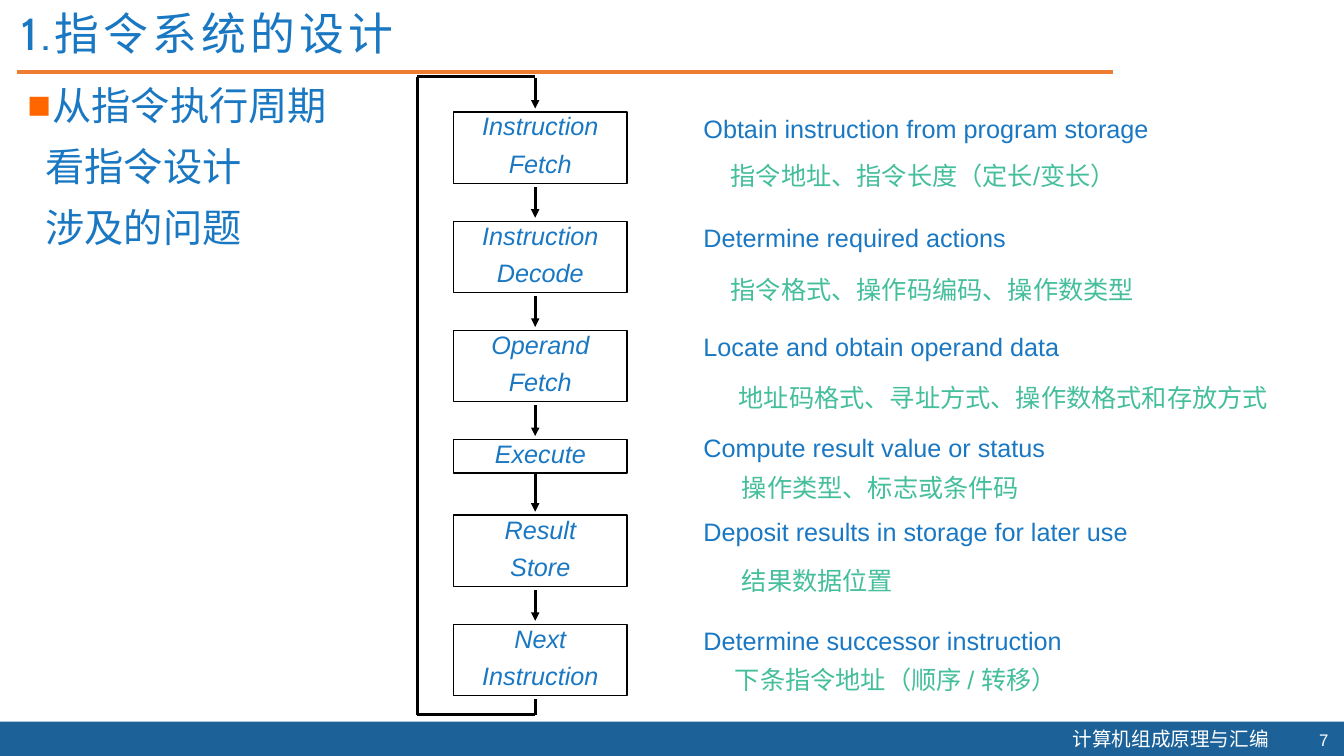
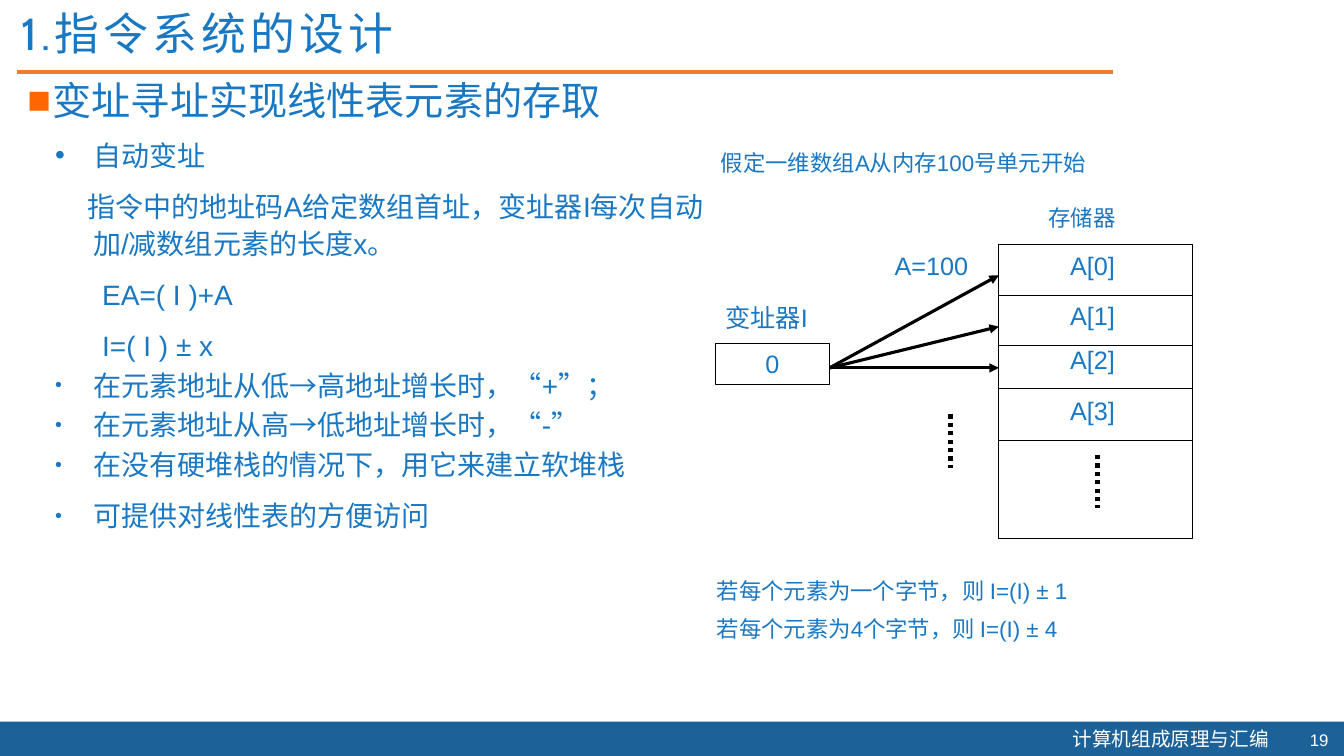
"""Build two lecture slides on instruction set design."""
from itertools import pairwise

from lxml import etree
from pptx import Presentation
from pptx.dml.color import RGBColor
from pptx.enum.dml import MSO_LINE
from pptx.enum.shapes import MSO_CONNECTOR, MSO_SHAPE
from pptx.enum.text import MSO_ANCHOR, PP_ALIGN
from pptx.oxml.ns import qn
from pptx.util import Pt

STRAIGHT = MSO_CONNECTOR.STRAIGHT
RECTANGLE = MSO_SHAPE.RECTANGLE
DOTTED = MSO_LINE.ROUND_DOT
TOP, MIDDLE = MSO_ANCHOR.TOP, MSO_ANCHOR.MIDDLE
CENTER, RIGHT = PP_ALIGN.CENTER, PP_ALIGN.RIGHT

BLUE, GREEN, ORANGE = "1A78C3", "44BE9B", "ED7D31"
BULLET_ORANGE, FOOTER_BLUE = "FF6600", "1C6299"
BLACK, WHITE = "000000", "FFFFFF"
WIDE, TIGHT = (7.2, 3.6), (5, 2.2)
rgb = RGBColor.from_string


def write(slide, box, lines=(), size=18, color=BLUE, margins=WIDE, anchor=TOP,
          paragraph_format=None, font_format=None, tracking=0, fill=None, outline=0):
    """Add a text box, or a rectangle if filled or outlined, and fill in its lines."""
    place = [Pt(length) for length in box]
    if fill or outline:
        shape = slide.shapes.add_shape(RECTANGLE, *place)
        shape.shadow.inherit = False
        shape.fill.background()
        shape.line.fill.background()
        if fill:
            shape.fill.solid()
            shape.fill.fore_color.rgb = rgb(fill)
        if outline:
            shape.line.color.rgb = rgb(BLACK)
            shape.line.width = Pt(outline)
    else:
        shape = slide.shapes.add_textbox(*place)
    frame = shape.text_frame
    side, edge = Pt(margins[0]), Pt(margins[1])
    frame_format = {"word_wrap": True, "vertical_anchor": anchor, "margin_left": side,
                    "margin_right": side, "margin_top": edge, "margin_bottom": edge}
    for key, value in frame_format.items():
        setattr(frame, key, value)
    for number, line in enumerate(lines):
        text, own = (line, {}) if isinstance(line, str) else line
        paragraph = frame.add_paragraph() if number else frame.paragraphs[0]
        properties = paragraph._p.get_or_add_pPr()
        if "indent" in own:
            left, first = own["indent"]
            properties.set("marL", str(Pt(left)))
            properties.set("indent", str(Pt(first)))
        if "bullet" in own:
            mark, mark_color, percent = own["bullet"]
            tint = etree.SubElement(properties, qn("a:buClr"))
            etree.SubElement(tint, qn("a:srgbClr"), val=mark_color)
            etree.SubElement(properties, qn("a:buSzPct"), val=str(percent * 1000))
            etree.SubElement(properties, qn("a:buFont"), typeface="Arial")
            etree.SubElement(properties, qn("a:buChar"), char=mark)
        values = {"alignment": PP_ALIGN.LEFT, **(paragraph_format or {})}
        if "space_before" in own:
            values["space_before"] = Pt(own["space_before"])
        if number == 0:
            values["space_before"] = Pt(0)
        for key, value in values.items():
            setattr(paragraph, key, value)
        run = paragraph.add_run()
        run.text = text
        for key, value in {"name": "Arial", "size": Pt(size), **(font_format or {})}.items():
            setattr(run.font, key, value)
        run.font.color.rgb = rgb(color)
        if tracking:
            run._r.get_or_add_rPr().set("spc", str(tracking * 100))


def connect(slide, start, end, width, color=BLACK, arrow=False, dash=None):
    """Add a straight line, with an arrowhead at its end if wanted."""
    connector = slide.shapes.add_connector(
        STRAIGHT, *[Pt(length) for length in (*start, *end)])
    connector.line.color.rgb = rgb(color)
    connector.line.width = Pt(width)
    if dash:
        connector.line.dash_style = dash
    if arrow:
        etree.SubElement(connector.line._get_or_add_ln(), qn("a:tailEnd"), type="triangle")
    etree.SubElement(connector._element.spPr, qn("a:effectLst"))


deck = Presentation()
deck.slide_width, deck.slide_height = Pt(960), Pt(540)

square = {"indent": (18, -18), "bullet": ("■", BULLET_ORANGE, 100)}
continued = {"indent": (13, 0), "space_before": 10}
pages = [
    ("7", 130, 1, [("从指令执行周期", square), ("看指令设计", continued),
                   ("涉及的问题", continued)]),
    ("19", 41, 0.9, [("变址寻址实现线性表元素的存取", square)]),
]
slides = []
for page_number, heading_height, spacing, heading in pages:
    slide = deck.slides.add_slide(deck.slide_layouts[6])
    slides.append(slide)
    write(slide, (0, 515.5, 960, 24.5), fill=FOOTER_BLUE)
    write(slide, (759, 515.5, 157, 24.5), ["计算机组成原理与汇编"], 14, WHITE,
          font_format={"name": "Noto Sans CJK SC"})
    connect(slide, (12.5, 51.3), (795, 51.3), 3, ORANGE)
    write(slide, (920, 517.5, 36, 21.6), [page_number], 12, WHITE, anchor=MIDDLE,
          paragraph_format={"alignment": RIGHT})
    write(slide, (12.5, 54.7, 932, heading_height), heading, 28,
          paragraph_format={"line_spacing": spacing})
    write(slide, (8, 5, 767, 34.5), ["1.指令系统的设计"], 32, tracking=3,
          paragraph_format={"line_spacing": 0.9}, font_format={"name": "Cabin"})
cycle_slide, index_slide = slides

flow_x, arrow_gap = 382.3, 2.5
stages = [
    (80, 51, 22, ["Instruction", "Fetch"],
     80, "Obtain instruction from program storage",
     (517, 112.3), "指令地址、指令长度（定长/变长）"),
    (158, 51, 22, ["Instruction", "Decode"],
     158, "Determine required actions",
     (517, 193.7), "指令格式、操作码编码、操作数类型"),
    (236, 51, 22, ["Operand", "Fetch"],
     236, "Locate and obtain operand data",
     (522.7, 270.7), "地址码格式、寻址方式、操作数格式和存放方式"),
    (314, 24, 22, ["Execute"],
     307.5, "Compute result value or status",
     (525, 335.5), "操作类型、标志或条件码"),
    (368, 51, 27.5, ["Result", "Store"],
     368, "Deposit results in storage for later use",
     (525, 401.8), "结果数据位置"),
    (446, 51, 22, ["Next", "Instruction"],
     446, "Determine successor instruction",
     (520, 472.3), "下条指令地址（顺序 / 转移）"),
]
for top, height, arrow_length, names, action_top, action, issue_at, issue in stages:
    write(cycle_slide, (324, top, 124, height),
          [(name, {"space_before": 8}) for name in names], margins=TIGHT, outline=1,
          paragraph_format={"alignment": CENTER, "line_spacing": 0.86},
          font_format={"italic": True})
    arrow_end = top - arrow_gap
    connect(cycle_slide, (flow_x, arrow_end - arrow_length), (flow_x, arrow_end), 2, arrow=True)
    write(cycle_slide, (497.5, action_top, 437, 25), [action], margins=TIGHT,
          paragraph_format={"line_spacing": 0.97})
    write(cycle_slide, (*issue_at, 422, 26), [issue], color=GREEN, margins=TIGHT)

return_path = [(flow_x, 499.5), (flow_x, 510.5), (298, 510.5), (298, 54.7), (flow_x, 54.7)]
for start, end in pairwise(return_path):
    connect(cycle_slide, start, end, 2)

dot = {"indent": (27, -27), "bullet": ("•", BLUE, 100)}
small_dot = {"indent": (27, -27), "bullet": ("•", BLUE, 70)}
formula = {"indent": (33.5, 0), "space_before": 10}
write(index_slide, (32.4, 93, 477.4, 446), [
    ("自动变址", dot),
    ("指令中的地址码A给定数组首址，变址器I每次自动加/减数组元素的长度x。",
     {"indent": (27, -4), "space_before": 10}),
    ("EA=( I )+A", formula),
    ("I=( I ) ± x", formula),
    ("在元素地址从低→高地址增长时，“+”；", {**small_dot, "space_before": 2}),
    ("在元素地址从高→低地址增长时，“-”", {**small_dot, "space_before": 2}),
    ("在没有硬堆栈的情况下，用它来建立软堆栈", {**small_dot, "space_before": 2}),
    ("可提供对线性表的方便访问", {**small_dot, "space_before": 10}),
], 20, paragraph_format={"line_spacing": 1.1})

write(index_slide, (510, 104.4, 350, 24), ["假定一维数组A从内存100号单元开始"], 16, margins=TIGHT)
write(index_slide, (507, 409.7, 356, 52.5),
      ["若每个元素为一个字节，则 I=(I) ± 1",
       ("若每个元素为4个字节，则 I=(I) ± 4", {"space_before": 8})], 16, margins=TIGHT)
write(index_slide, (632, 175, 81.4, 29), ["A=100"])
write(index_slide, (511, 212.4, 96, 29), ["变址器I"])
write(index_slide, (744, 143.3, 109, 23), ["存储器"], 16, margins=TIGHT)

memory_left, memory_right, memory_top = 713.5, 851.8, 175
register_exit = (592.5, 262.8)
for target_y in (233.3, 196.6, 262.8):
    connect(index_slide, register_exit, (memory_left, target_y), 2.25, arrow=True)
write(index_slide, (511, 245.5, 81.4, 29), ["0"], fill=WHITE, outline=0.75,
      paragraph_format={"alignment": CENTER})

write(index_slide, (memory_left, memory_top, memory_right - memory_left, 210), outline=0.75)
cells = [(175, 211), (211, 247), (242.6, 277.2), (278.6, 314.6)]
for element, (label_top, divider_y) in enumerate(cells):
    connect(index_slide, (memory_left, divider_y), (memory_right, divider_y), 0.75)
    write(index_slide, (757.4, label_top, 83, 29), [f"A[{element}]"])
for dots_x, dots_top in ((679, 296), (784, 325)):
    connect(index_slide, (dots_x, dots_top), (dots_x, dots_top + 38), 3, dash=DOTTED)

deck.save("out.pptx")
